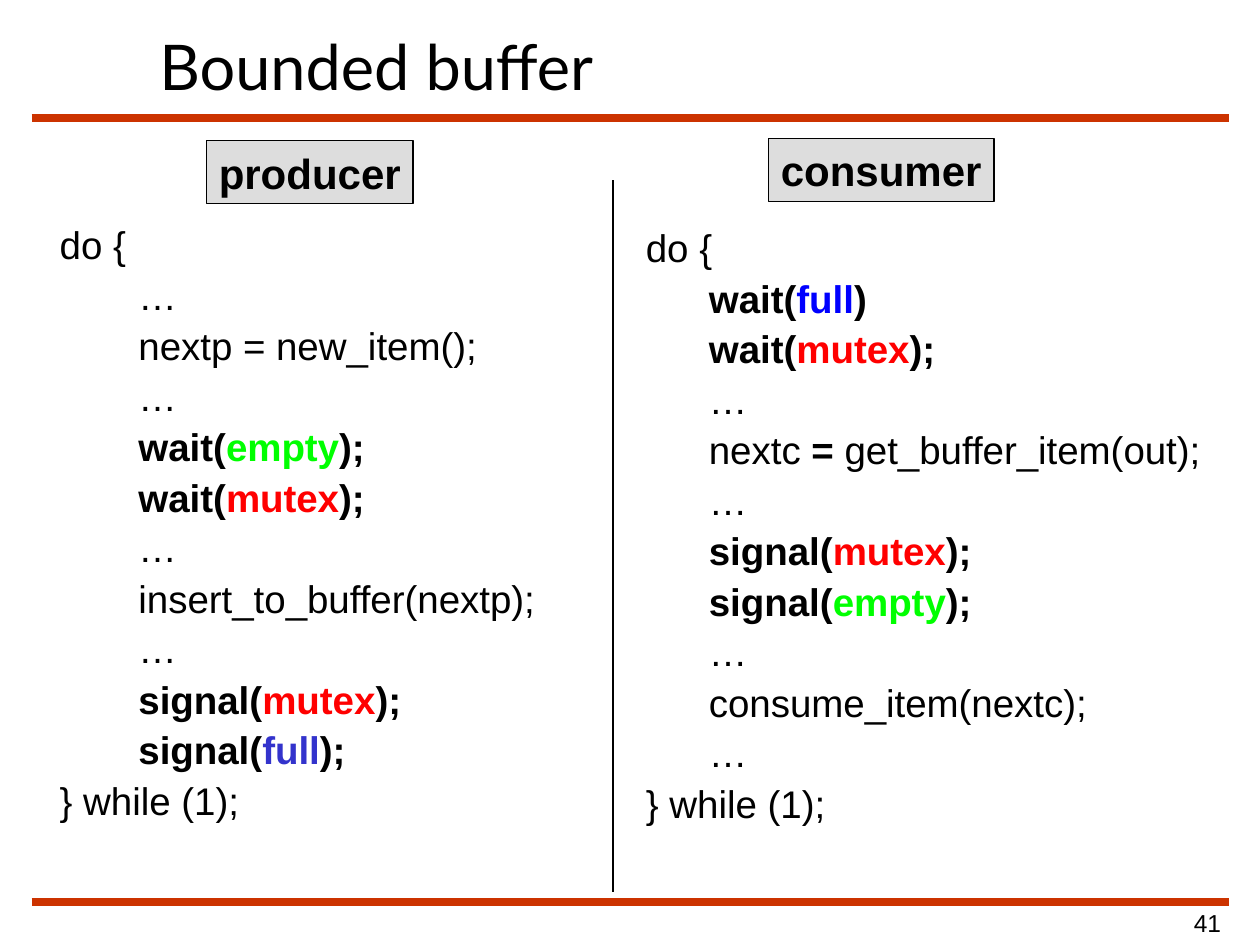
from dataclasses import dataclass

from lxml.etree import SubElement
from pptx import Presentation
from pptx.dml.color import RGBColor
from pptx.enum.shapes import MSO_CONNECTOR as Connector, MSO_SHAPE as Shape
from pptx.enum.text import MSO_ANCHOR as Anchor, PP_ALIGN as Align
from pptx.oxml.ns import qn
from pptx.util import Pt


@dataclass(frozen=True)
class Theme:
    ink: str = "000000"
    rule: str = "CC3300"
    label_fill: str = "DDDDDD"
    mutex: str = "FF0000"
    empty: str = "00FF00"
    producer_full: str = "3333CC"
    consumer_full: str = "0000FF"
    title_font: str = "Lato"
    body_font: str = "Arial"
    title_size: float = 36
    label_size: float = 24
    code_size: float = 22
    number_size: float = 14


THEME = Theme()


def add_run(paragraph, text, *, size, font=THEME.body_font, color=THEME.ink, bold=False):
    run = paragraph.add_run()
    run.text = text
    run.font.name = font
    run.font.size = Pt(size)
    run.font.bold = bold
    run.font.color.rgb = RGBColor.from_string(color)


def add_text_frame(slide, box, *, anchor=Anchor.TOP, inset=(7.2, 3.6)):
    frame = slide.shapes.add_textbox(*map(Pt, box)).text_frame
    frame.word_wrap = True
    frame.vertical_anchor = anchor
    frame.margin_left = frame.margin_right = Pt(inset[0])
    frame.margin_top = frame.margin_bottom = Pt(inset[1])
    return frame


def add_line(slide, start, end, color, width):
    line = slide.shapes.add_connector(Connector.STRAIGHT, *map(Pt, start + end))
    line.line.color.rgb = RGBColor.from_string(color)
    line.line.width = Pt(width)
    SubElement(line._element.spPr, qn("a:effectLst"))


def add_title(slide, box, text):
    frame = add_text_frame(slide, box, anchor=Anchor.MIDDLE)
    add_run(frame.paragraphs[0], text, size=THEME.title_size, font=THEME.title_font)


def add_page_number(slide, box, number):
    paragraph = add_text_frame(slide, box, inset=(0, 0)).paragraphs[0]
    paragraph.alignment = Align.CENTER
    add_run(paragraph, number, size=THEME.number_size)


def add_label(slide, box, text):
    label = slide.shapes.add_shape(Shape.RECTANGLE, *map(Pt, box))
    label.shadow.inherit = False
    label.fill.solid()
    label.fill.fore_color.rgb = RGBColor.from_string(THEME.label_fill)
    label.line.color.rgb = RGBColor.from_string(THEME.ink)
    label.line.width = Pt(0.75)
    frame = label.text_frame
    frame.word_wrap = False
    frame.vertical_anchor = Anchor.TOP
    paragraph = frame.paragraphs[0]
    paragraph.alignment = Align.CENTER
    add_run(paragraph, text, size=THEME.label_size, bold=True)


def add_code(slide, box, body, indent):
    """Wrap the body lines in a do-while loop, each one tab stop deep."""
    frame = add_text_frame(slide, box)
    indented = [[("\t", {})] + line for line in body]
    for index, line in enumerate([plain("do {"), *indented, plain("} while (1);")]):
        paragraph = frame.add_paragraph() if index else frame.paragraphs[0]
        paragraph.line_spacing = 0.9
        paragraph.space_before = Pt(5.1)
        tabs = SubElement(paragraph._p.get_or_add_pPr(), qn("a:tabLst"))
        SubElement(tabs, qn("a:tab"), pos=str(Pt(indent)), algn="l")
        for text, style in line:
            add_run(paragraph, text, size=THEME.code_size, **style)


def plain(text):
    return [(text, {})]


def semaphore_call(operation, semaphore, color, end=");"):
    return [
        (operation + "(", {"bold": True}),
        (semaphore, {"bold": True, "color": color}),
        (end, {"bold": True}),
    ]


PRODUCER = [
    plain("…"),
    plain("nextp = new_item();"),
    plain("…"),
    semaphore_call("wait", "empty", THEME.empty),
    semaphore_call("wait", "mutex", THEME.mutex),
    plain("…"),
    plain("insert_to_buffer(nextp);"),
    plain("…"),
    semaphore_call("signal", "mutex", THEME.mutex),
    semaphore_call("signal", "full", THEME.producer_full),
]

CONSUMER = [
    semaphore_call("wait", "full", THEME.consumer_full, end=")"),
    semaphore_call("wait", "mutex", THEME.mutex),
    plain("…"),
    [("nextc", {}), (" = ", {"bold": True}), ("get_buffer_item(out);", {})],
    plain("…"),
    semaphore_call("signal", "mutex", THEME.mutex),
    semaphore_call("signal", "empty", THEME.empty),
    plain("…"),
    plain("consume_item(nextc);"),
    plain("…"),
]


def main():
    deck = Presentation()
    deck.slide_width, deck.slide_height = Pt(720), Pt(540)
    slide = deck.slides.add_slide(deck.slide_layouts[6])

    for y in (67.5, 515.5):
        add_line(slide, (18, y), (702, y), THEME.rule, 4.5)
    add_title(slide, (84, 6, 618, 62.5), "Bounded buffer")
    add_code(slide, (362, 127.5, 342, 338), CONSUMER, indent=36)
    add_code(slide, (27, 126, 300, 338), PRODUCER, indent=45)
    add_line(slide, (350.5, 103), (350.5, 510), THEME.ink, 1)
    add_label(slide, (118, 80.5, 118, 36), "producer")
    add_label(slide, (439, 79, 129, 36), "consumer")
    add_page_number(slide, (672, 519, 36, 16.5), "41")

    deck.save("out.pptx")


if __name__ == "__main__":
    main()
